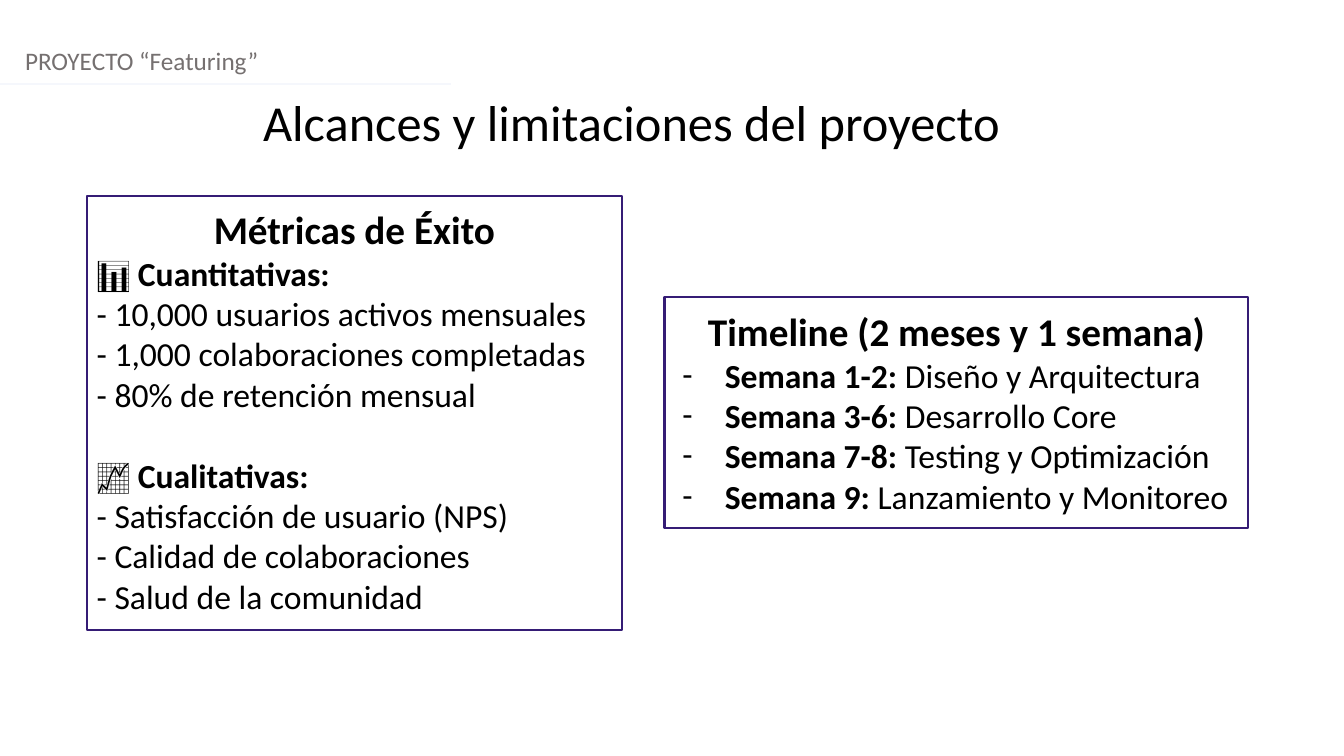
"""Builds the slide on the scope and limits of the project."""
import pptx
import pptx.dml.color
import pptx.enum.shapes
import pptx.enum.text
import pptx.oxml.ns
import pptx.util
from lxml import etree
from pptx.util import Inches

BLACK = pptx.dml.color.RGBColor(0x00, 0x00, 0x00)
WHITE = pptx.dml.color.RGBColor(0xFF, 0xFF, 0xFF)
GRAY = pptx.dml.color.RGBColor(0x75, 0x70, 0x70)
PALE = pptx.dml.color.RGBColor(0xF5, 0xF7, 0xFC)
PURPLE = pptx.dml.color.RGBColor(0x35, 0x1C, 0x75)
LEFT = pptx.enum.text.PP_ALIGN.LEFT
CENTER = pptx.enum.text.PP_ALIGN.CENTER

deck = pptx.Presentation()
deck.slide_width = Inches(13.33)
deck.slide_height = Inches(7.5)
slide = deck.slides.add_slide(deck.slide_layouts[6])


def add_run(paragraph, text, size, color=BLACK, bold=False):
    run = paragraph.add_run()
    run.text = text
    run.font.name = "Calibri"
    run.font.size = pptx.util.Pt(size)
    run.font.bold = bold
    run.font.color.rgb = color


def add_panel(left, top, width, height, heading):
    panel = slide.shapes.add_shape(
        pptx.enum.shapes.MSO_SHAPE.RECTANGLE,
        Inches(left), Inches(top), Inches(width), Inches(height))
    panel.shadow.inherit = False
    panel.fill.solid()
    panel.fill.fore_color.rgb = WHITE
    panel.line.color.rgb = PURPLE
    panel.line.width = pptx.util.Pt(1.5)
    frame = panel.text_frame
    frame.word_wrap = True
    frame.vertical_anchor = pptx.enum.text.MSO_ANCHOR.TOP
    frame.margin_left = frame.margin_right = Inches(0.1)
    frame.margin_top = frame.margin_bottom = Inches(0.1)
    frame.paragraphs[0].alignment = CENTER
    add_run(frame.paragraphs[0], heading, 28, bold=True)
    return frame


for left, top, width, height, text, size, color, align in [
    (0.15, 0.4, 13.1, 0.4, "PROYECTO “Featuring”", 18, GRAY, LEFT),
    (0.67, 0.85, 11.19, 0.71, "Alcances y limitaciones del proyecto", 36, BLACK, CENTER),
]:
    title = slide.shapes.add_textbox(
        Inches(left), Inches(top), Inches(width), Inches(height)).text_frame
    title.word_wrap = True
    title.paragraphs[0].alignment = align
    add_run(title.paragraphs[0], text, size, color)

header_rule = slide.shapes.add_connector(
    pptx.enum.shapes.MSO_CONNECTOR.STRAIGHT,
    Inches(0), Inches(0.83), Inches(4.47), Inches(0.83))
header_rule.line.color.rgb = PALE
header_rule.line.width = pptx.util.Pt(1.25)
etree.SubElement(header_rule._element.spPr, pptx.oxml.ns.qn("a:effectLst"))

timeline = add_panel(6.59, 2.95, 5.79, 2.29, "Timeline (2 meses y 1 semana)")
for weeks, stage in [
    ("Semana 1-2: ", "Diseño y Arquitectura"),
    ("Semana 3-6: ", "Desarrollo Core"),
    ("Semana 7-8: ", "Testing y Optimización"),
    ("Semana 9: ", "Lanzamiento y Monitoreo"),
]:
    entry = timeline.add_paragraph()
    entry.alignment = LEFT
    properties = entry._p.get_or_add_pPr()
    properties.set("marL", str(Inches(0.5)))
    properties.set("indent", str(Inches(-0.42)))
    bullet_color = etree.SubElement(properties, pptx.oxml.ns.qn("a:buClr"))
    etree.SubElement(bullet_color, pptx.oxml.ns.qn("a:srgbClr"), val=str(BLACK))
    etree.SubElement(properties, pptx.oxml.ns.qn("a:buFont"), typeface="Calibri")
    etree.SubElement(properties, pptx.oxml.ns.qn("a:buChar"), char="-")
    add_run(entry, weeks, 24, bold=True)
    add_run(entry, stage, 24)

metrics = add_panel(0.86, 1.94, 5.31, 4.31, "Métricas de Éxito")
for group, gap, goals in [
    ("📊 Cuantitativas:", 0, [
        "10,000 usuarios activos mensuales",
        "1,000 colaboraciones completadas",
        "80% de retención mensual"]),
    ("📈 Cualitativas:", 29, [
        "Satisfacción de usuario (NPS)",
        "Calidad de colaboraciones",
        "Salud de la comunidad"]),
]:
    group_line = metrics.add_paragraph()
    group_line.alignment = LEFT
    group_line.space_before = pptx.util.Pt(gap)
    add_run(group_line, group, 24, bold=True)
    for goal in goals:
        goal_line = metrics.add_paragraph()
        goal_line.alignment = LEFT
        add_run(goal_line, f"- {goal}", 24)

deck.save("out.pptx")
